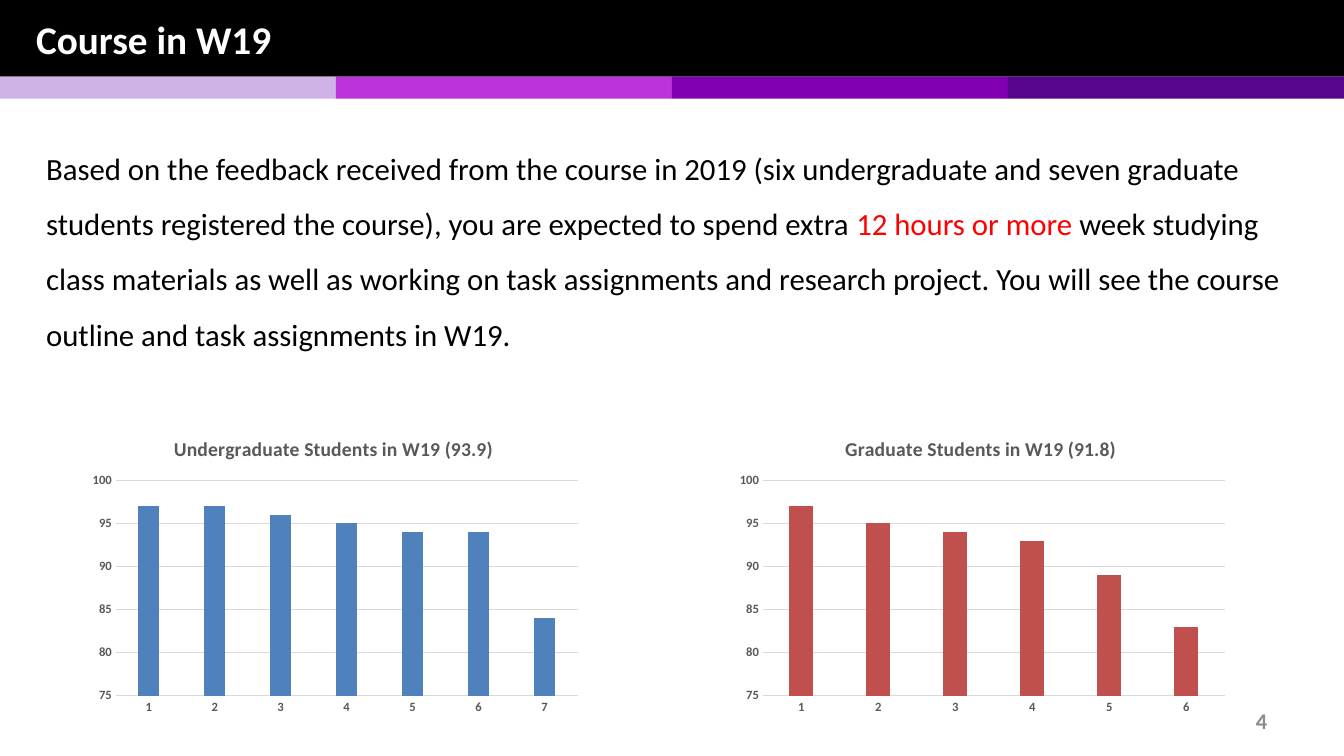
"""Build the W19 course feedback slide with two grade charts."""
from lxml.etree import SubElement
from pptx import Presentation
from pptx.chart.data import CategoryChartData
from pptx.dml.color import RGBColor
from pptx.enum.chart import XL_CHART_TYPE as ChartType, XL_TICK_MARK as Tick
from pptx.enum.shapes import MSO_SHAPE as Preset
from pptx.enum.text import MSO_ANCHOR as Anchor, PP_ALIGN as Align
from pptx.oxml.ns import qn
from pptx.util import Inches, Pt

FONT = "Calibri"
SLIDE_WIDTH = 13.333
BAND_COLORS = ["CFB3E6", "BD33DA", "8000B3", "57058A"]
FEEDBACK = [
    ("Based on the feedback received from the course in 2019 (six undergraduate "
     "and seven graduate students registered the course), you are expected to "
     "spend extra ", "000000"),
    ("12 hours or more ", "FF0000"),
    ("week studying class materials as well as working on task assignments and "
     "research project. You will see the course outline and task assignments "
     "in W19.", "000000"),
]
GRADE_CHARTS = [
    (0.82, "Undergraduate Students in W19 (93.9)", [97, 97, 96, 95, 94, 94, 84], "4F81BD"),
    (7.24, "Graduate Students in W19 (91.8)", [97, 95, 94, 93, 89, 83], "C0504D"),
]
PLOT_AREA = {"x": 0.066, "y": 0.2, "w": 0.92, "h": 0.72}


def color(hex_code):
    """Return the colour for a hex string."""
    return RGBColor.from_string(hex_code)


def style(font, size, hex_code, bold=False):
    """Set face, size, colour and weight of a font."""
    font.name = FONT
    font.size = Pt(size)
    font.bold = bold
    font.color.rgb = color(hex_code)


def add_bar(slide, left, top, width, height, hex_code):
    """Add a plain filled rectangle."""
    bar = slide.shapes.add_shape(
        Preset.RECTANGLE, Inches(left), Inches(top), Inches(width), Inches(height))
    bar.shadow.inherit = False
    bar.fill.solid()
    bar.fill.fore_color.rgb = color(hex_code)
    bar.line.fill.background()


def add_text(slide, box, runs, size, bold=False, anchor=Anchor.MIDDLE,
             align=Align.LEFT, spacing=1.0):
    """Add a wrapped one-paragraph text box with coloured runs."""
    frame = slide.shapes.add_textbox(*map(Inches, box)).text_frame
    frame.word_wrap = True
    frame.vertical_anchor = anchor
    paragraph = frame.paragraphs[0]
    paragraph.alignment = align
    paragraph.line_spacing = spacing
    for words, hex_code in runs:
        run = paragraph.add_run()
        run.text = words
        style(run.font, size, hex_code, bold)


def place_plot(chart):
    """Fix the inner plot area as fractions of the chart."""
    plot_area = chart.element.find(f"{qn('c:chart')}/{qn('c:plotArea')}")
    for old_layout in plot_area.findall(qn("c:layout")):
        plot_area.remove(old_layout)
    layout = SubElement(plot_area, qn("c:layout"))
    plot_area.insert(0, layout)
    manual = SubElement(layout, qn("c:manualLayout"))
    settings = {"layoutTarget": "inner", "xMode": "edge", "yMode": "edge", **PLOT_AREA}
    for tag, value in settings.items():
        SubElement(manual, qn(f"c:{tag}")).set("val", str(value))


def add_grade_chart(slide, left, title, grades, hex_code):
    """Add a column chart of student grades."""
    data = CategoryChartData()
    data.categories = [str(number) for number in range(1, len(grades) + 1)]
    data.add_series("Series 1", grades)
    chart = slide.shapes.add_chart(
        ChartType.COLUMN_CLUSTERED, Inches(left), Inches(4.17),
        Inches(4.98), Inches(2.97), data).chart
    style(chart.font, 10, "000000")
    chart.has_legend = False
    chart.has_title = True
    heading = chart.chart_title.text_frame
    heading.text = title
    style(heading.paragraphs[0].runs[0].font, 14, "595959", True)

    for axis in (chart.category_axis, chart.value_axis):
        axis.major_tick_mark = axis.minor_tick_mark = Tick.NONE
        style(axis.tick_labels.font, 9, "595959", True)
    scores = chart.value_axis
    scores.minimum_scale, scores.maximum_scale, scores.major_unit = 75, 100, 5
    scores.format.line.fill.background()
    for line in (chart.category_axis.format.line, scores.major_gridlines.format.line):
        line.color.rgb = color("D9D9D9")
        line.width = Pt(0.75)

    columns = chart.plots[0]
    columns.vary_by_categories = False
    columns.gap_width = 219
    columns.overlap = -27
    fill = columns.series[0].format.fill
    fill.solid()
    fill.fore_color.rgb = color(hex_code)
    place_plot(chart)


def main():
    """Compose the slide and save it."""
    deck = Presentation()
    deck.slide_width, deck.slide_height = Inches(SLIDE_WIDTH), Inches(7.5)
    slide = deck.slides.add_slide(deck.slide_layouts[6])

    add_bar(slide, 0, 0, SLIDE_WIDTH, 0.76, "000000")
    band_width = SLIDE_WIDTH / len(BAND_COLORS)
    for index, hex_code in enumerate(BAND_COLORS):
        add_bar(slide, index * band_width, 0.76, band_width, 0.22, hex_code)

    add_text(slide, (9.56, 6.95, 3.11, 0.4), [("4", "8C8C8C")], 16, True,
             align=Align.RIGHT)
    add_text(slide, (0.26, 0.01, 12.82, 0.75), [("Course in W19", "FFFFFF")], 28, True)
    add_text(slide, (0.36, 1.25, 12.64, 2.27), FEEDBACK, 22,
             anchor=Anchor.TOP, spacing=1.5)
    for grade_chart in GRADE_CHARTS:
        add_grade_chart(slide, *grade_chart)

    deck.save("out.pptx")


if __name__ == "__main__":
    main()
